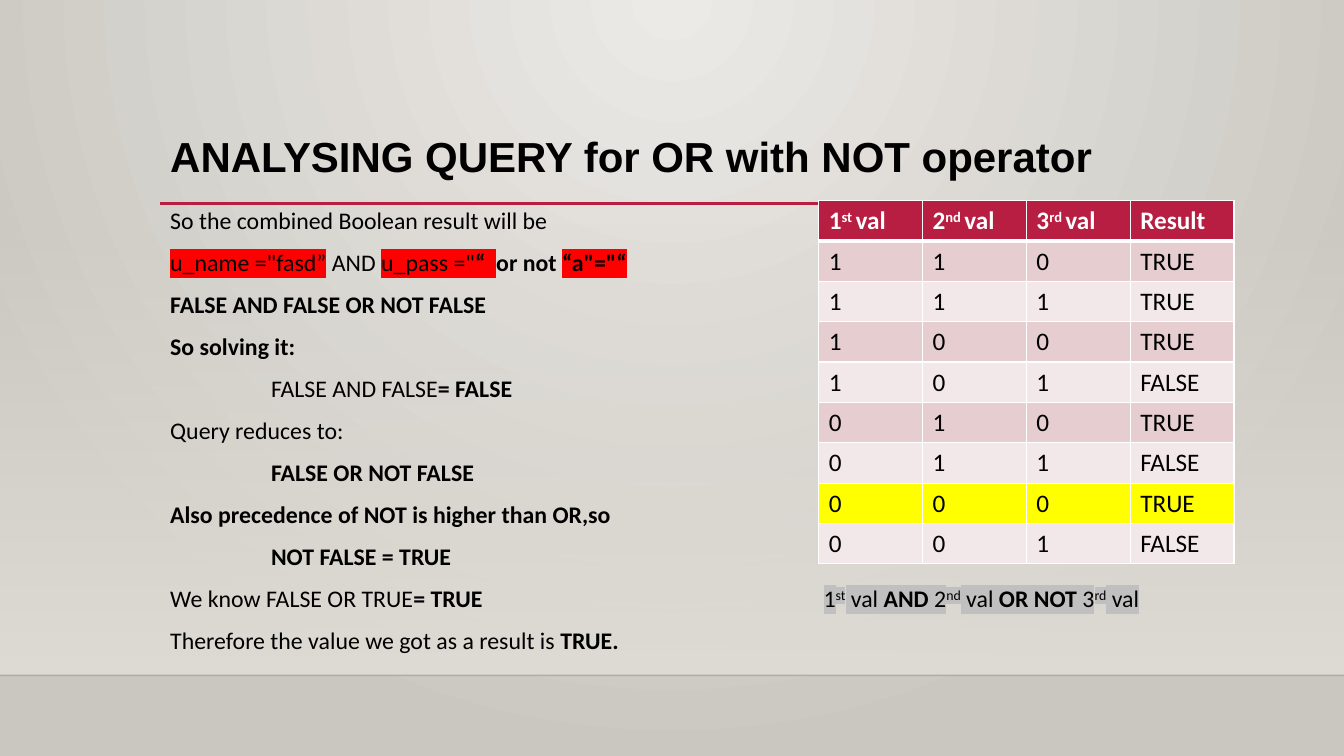
from lxml import etree
from pptx import Presentation
from pptx.dml.color import RGBColor
from pptx.enum.shapes import MSO_CONNECTOR as Connector, MSO_SHAPE as Shape
from pptx.oxml import parse_xml
from pptx.oxml.ns import nsdecls, qn
from pptx.util import Inches, Pt

BLACK = RGBColor(0x00, 0x00, 0x00)
WHITE = RGBColor(0xFF, 0xFF, 0xFF)
CRIMSON = RGBColor(0xB7, 0x1E, 0x42)
ROSE = RGBColor(0xE6, 0xCD, 0xCF)
PALE_ROSE = RGBColor(0xF3, 0xE8, 0xE9)
YELLOW = RGBColor(0xFF, 0xFF, 0x00)
RED = RGBColor(0xFF, 0x00, 0x00)
SILVER = RGBColor(0xC0, 0xC0, 0xC0)
GLOW = RGBColor(0xEC, 0xEA, 0xE7)
STONE = RGBColor(0xCA, 0xC7, 0xC1)
SAND = RGBColor(0xDF, 0xDB, 0xD5)
EDGE = RGBColor(0x00, 0x00, 0x01)

WIDTH, HEIGHT = Inches(13.33), Inches(7.5)
LEFT, TEXT_WIDTH = Inches(1.59), Inches(10.5)
BODY_TOP, FLOOR = Inches(1.99), Inches(6.7)


def write(para, spans, size, color, face="Calibri"):
    """Fill a paragraph with (text, marks, highlight): b is bold, ^ is raised."""
    para.font.size, para.font.name = Pt(size), face
    para.font.color.rgb = color
    for text, marks, highlight in spans:
        span = para.add_run()
        span.text = text
        span.font.bold = "b" in marks
        properties = span.font._element
        if "^" in marks:
            properties.set("baseline", "30000")
        if highlight is not None:
            properties.append(parse_xml(
                f'<a:highlight {nsdecls("a")}><a:srgbClr val="{highlight}"/></a:highlight>'))


def add_text_box(left, top, width, height):
    box = page.shapes.add_textbox(left, top, width, height)
    box.text_frame.word_wrap = True
    return box.text_frame


deck = Presentation()
deck.slide_width, deck.slide_height = WIDTH, HEIGHT
page = deck.slides.add_slide(deck.slide_layouts[6])

# Background: a glow from the top centre
backdrop = page.background.fill
backdrop.gradient()
for stop, color, position in zip(backdrop.gradient_stops, (GLOW, STONE), (0, 1)):
    stop.color.rgb, stop.position = color, position
linear = page.element.find(".//" + qn("a:lin"))
linear.getparent().replace(linear, parse_xml(
    f'<a:path {nsdecls("a")} path="circle">'
    '<a:fillToRect l="43000" t="0" r="43000" b="100000"/></a:path>'))

# Wall fading in towards the floor
wall_top = Inches(2.21)
wall = page.shapes.add_shape(Shape.RECTANGLE, 0, wall_top, WIDTH, FLOOR - wall_top)
wall.shadow.inherit = False
wall.line.fill.background()
wall.fill.gradient()
wall.fill.gradient_angle = 270
for stop, position in zip(wall.fill.gradient_stops, (0, 1)):
    stop.color.rgb, stop.position = SAND, position
clear_color = wall._element.find(".//" + qn("a:gs")).find(qn("a:srgbClr"))
etree.SubElement(clear_color, qn("a:alpha")).set("val", "0")

# Floor edge and title rule
for start, end, level, color, weight, opacity in (
    (0, WIDTH, FLOOR, EDGE, 1, 20),
    (LEFT, Inches(12.1), Inches(2.02), CRIMSON, 2.5, 100),
):
    rule = page.shapes.add_connector(Connector.STRAIGHT, start, level, end, level)
    rule.line.color.rgb, rule.line.width = color, Pt(weight)
    ink = rule._element.spPr.find(".//" + qn("a:srgbClr"))
    etree.SubElement(ink, qn("a:alpha")).set("val", str(opacity * 1000))
    etree.SubElement(rule._element.spPr, qn("a:effectLst"))

# Reasoning, one paragraph a line
steps = [
    [("So the combined Boolean result will be", "", None)],
    [('u_name ="fasd”', "", RED), (" AND ", "", None), ('u_pass ="', "", RED),
     ("“  ", "b", RED), ("or not ", "b", None), ('“a"="“', "b", RED)],
    [("FALSE AND FALSE OR NOT FALSE", "b", None)],
    [("So solving it:", "b", None)],
    [("\tFALSE AND FALSE", "", None), ("= FALSE", "b", None)],
    [("Query reduces to:", "", None)],
    [("\tFALSE OR NOT FALSE", "b", None)],
    [("Also precedence of NOT is higher than OR,so", "b", None)],
    [("\tNOT FALSE = TRUE", "b", None)],
    [("We know FALSE OR TRUE", "", None), ("= TRUE", "b", None), ("\t", "", None),
     ("1", "", SILVER), ("st", "^", SILVER), (" val ", "", SILVER), ("AND ", "b", SILVER),
     ("2", "", SILVER), ("nd", "^", SILVER), (" val ", "", SILVER), ("OR NOT ", "b", SILVER),
     ("3", "", SILVER), ("rd", "^", SILVER), (" val", "", SILVER)],
    [("Therefore the value we got as a result is ", "", None), ("TRUE.", "b", None)],
]
body = add_text_box(LEFT, BODY_TOP, TEXT_WIDTH, Inches(4.8))
for number, spans in enumerate(steps):
    para = body.add_paragraph() if number else body.paragraphs[0]
    para.space_before = Pt(9.6)
    write(para, spans, 17, BLACK)
    # A tab stop leads to the formula under the table, or to a one-inch indent
    if any("\t" in text for text, _, _ in spans):
        stop_at = Inches(1 if spans[0][0].startswith("\t") else 6.48)
        para.font._element.addprevious(parse_xml(
            f'<a:tabLst {nsdecls("a")}><a:tab pos="{stop_at}" algn="l"/></a:tabLst>'))

# Title
title = add_text_box(LEFT, Inches(1.25), TEXT_WIDTH, Inches(0.7))
write(title.paragraphs[0], [("ANALYSING QUERY for OR with NOT operator", "b", None)],
      30, BLACK, "Arial")

# Truth table
header = [[(digit, "b", None), (suffix + " ", "b^", None), ("val", "b", None)]
          for digit, suffix in (("1", "st"), ("2", "nd"), ("3", "rd"))]
header.append([("Result", "b", None)])
outcomes = ["110 TRUE", "111 TRUE", "100 TRUE", "101 FALSE",
            "010 TRUE", "011 FALSE", "000 TRUE", "001 FALSE"]
rows = [header]
for outcome in outcomes:
    values, result = outcome.split()
    rows.append([[(value, "", None)] for value in (*values, result)])

column_width, row_height = Inches(1.03), Inches(0.4)
truth = page.shapes.add_table(len(rows), len(header), Inches(8.12), BODY_TOP,
                              column_width * len(header), row_height * len(rows)).table
for r, row in enumerate(rows):
    for c, spans in enumerate(row):
        cell = truth.cell(r, c)
        write(cell.text_frame.paragraphs[0], spans, 18, BLACK if r else WHITE)
        for side in "LRTB":
            thick = (r, side) in ((0, "B"), (1, "T"))
            cell._tc.get_or_add_tcPr().append(parse_xml(
                f'<a:ln{side} {nsdecls("a")} w="{Pt(3 if thick else 1)}">'
                f'<a:solidFill><a:srgbClr val="{WHITE}"/></a:solidFill></a:ln{side}>'))
        cell.fill.solid()
        if r == 0:
            cell.fill.fore_color.rgb = CRIMSON
        elif outcomes[r - 1].startswith("000"):
            cell.fill.fore_color.rgb = YELLOW
        else:
            cell.fill.fore_color.rgb = ROSE if r % 2 else PALE_ROSE

deck.save("out.pptx")
